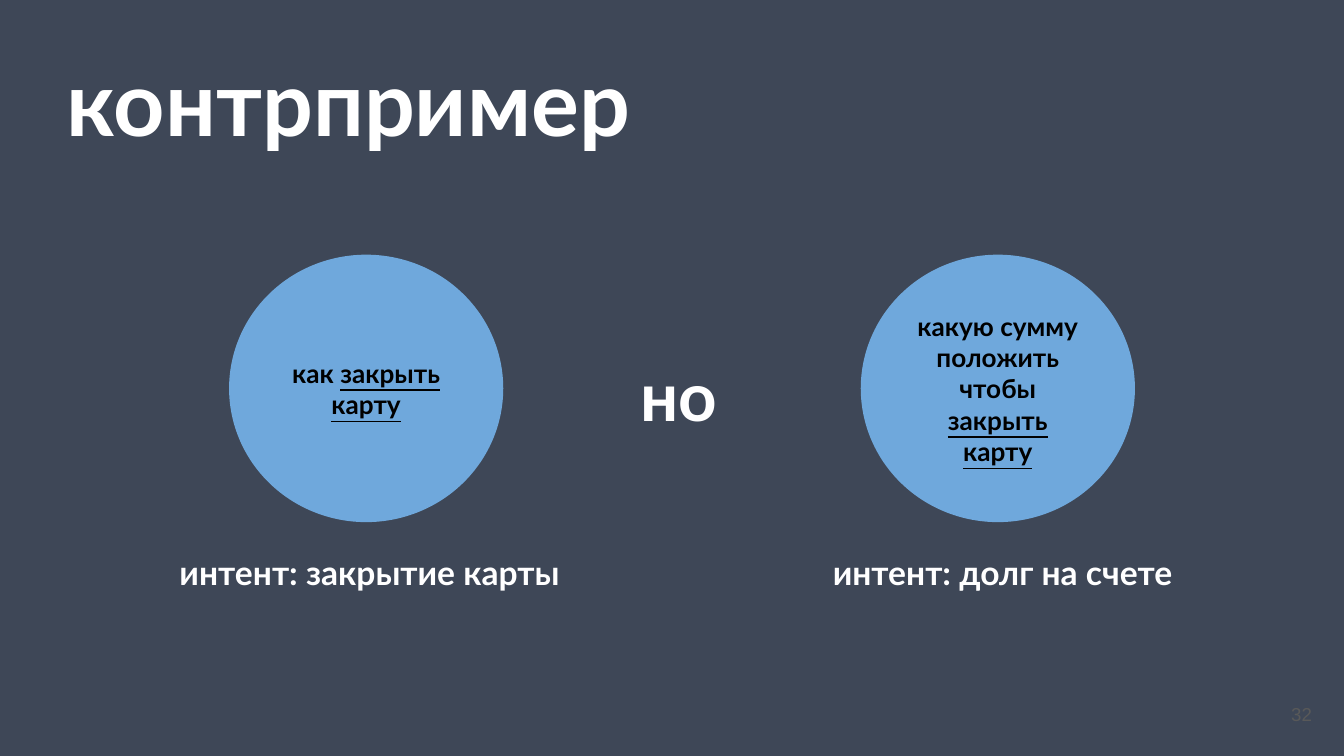
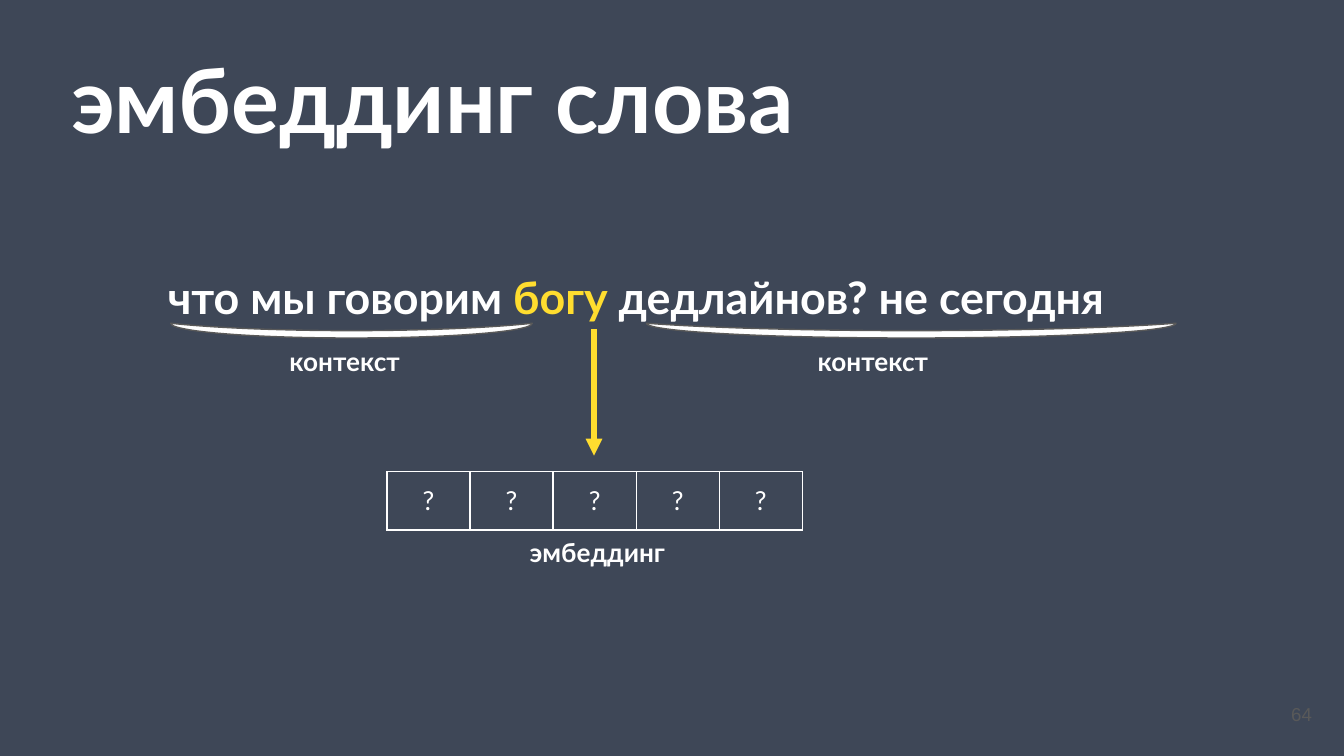
"""Builds two slides: intents that share words, and the embedding of a word."""
from dataclasses import dataclass

import lxml.etree
import pptx
import pptx.dml.color
import pptx.enum.shapes
import pptx.enum.text
import pptx.oxml.ns
import pptx.util

Inches = pptx.util.Inches
Pt = pptx.util.Pt
RGB = pptx.dml.color.RGBColor.from_string
qn = pptx.oxml.ns.qn
Shape = pptx.enum.shapes.MSO_SHAPE
Align = pptx.enum.text.PP_ALIGN
Anchor = pptx.enum.text.MSO_ANCHOR


@dataclass(frozen=True)
class Theme:
    background: str = "3E4757"
    light: str = "FFFFFF"
    dark: str = "000000"
    circle: str = "6FA8DC"
    accent: str = "FFDD2F"
    muted: str = "595959"
    font: str = "Lato"
    number_font: str = "Arial"
    title: int = 48
    conjunction: int = 36
    sentence: int = 24
    intent: int = 18
    body: int = 14
    number: int = 10
    hairline: float = 0.75
    arrow: float = 3


THEME = Theme()


def write(frame, runs, size, color=THEME.light, align=Align.CENTER, bold=True, font=THEME.font):
    paragraph = frame.paragraphs[0]
    paragraph.alignment = align
    paragraph.font.name = font
    paragraph.font.size = Pt(size)
    paragraph.font.bold = bold
    paragraph.font.color.rgb = RGB(color)
    for text, marks in runs:
        run = paragraph.add_run()
        run.text = text
        if "underline" in marks:
            run.font.underline = marks["underline"]
        if "color" in marks:
            run.font.color.rgb = RGB(marks["color"])


def set_margins(frame, vertical):
    frame.word_wrap = True
    frame.margin_left = frame.margin_right = Inches(0.1)
    frame.margin_top = frame.margin_bottom = Inches(vertical)


def add_text(slide, box, runs, size, margin=0.1, anchor=Anchor.TOP, **style):
    frame = slide.shapes.add_textbox(*map(Inches, box)).text_frame
    set_margins(frame, margin)
    frame.vertical_anchor = anchor
    write(frame, runs, size, **style)


def add_label(slide, left, top, width, text, size):
    add_text(slide, (left, top, width, 0.35), [(text, {})], size, margin=0.05)


def add_figure(slide, kind, box, fill, line):
    figure = slide.shapes.add_shape(kind, *map(Inches, box))
    figure.shadow.inherit = False
    figure.fill.solid()
    figure.fill.fore_color.rgb = RGB(fill)
    figure.line.color.rgb = RGB(line)
    figure.line.width = Pt(THEME.hairline)
    return figure


def add_phrase_circle(slide, left, opening, shared):
    circle = add_figure(slide, Shape.OVAL, (left, 1.9, 2.03, 1.98), THEME.circle, THEME.circle)
    set_margins(circle.text_frame, 0.1)
    circle.text_frame.vertical_anchor = Anchor.MIDDLE
    write(circle.text_frame, [(opening, {}), (shared, {"underline": True})],
          THEME.body, color=THEME.dark)


def add_context_arc(slide, left, width):
    thickness, middle = 0.11, 2.46
    box = (left + (width - thickness) / 2, middle - width / 2, thickness, width)
    arc = add_figure(slide, Shape.MOON, box, THEME.light, THEME.muted)
    arc.rotation = 270


def add_arrow(slide, x, top, bottom):
    arrow = slide.shapes.add_connector(
        pptx.enum.shapes.MSO_CONNECTOR.STRAIGHT,
        Inches(x), Inches(top), Inches(x), Inches(bottom))
    arrow.line.color.rgb = RGB(THEME.accent)
    arrow.line.width = Pt(THEME.arrow)
    lxml.etree.SubElement(arrow.line._get_or_add_ln(), qn("a:tailEnd"), type="triangle")
    lxml.etree.SubElement(arrow._element.spPr, qn("a:effectLst"))


def add_cell_borders(cell):
    properties = cell._tc.get_or_add_tcPr()
    for position, side in enumerate(("a:lnL", "a:lnR", "a:lnT", "a:lnB")):
        border = lxml.etree.Element(qn(side), w=str(Pt(THEME.hairline)))
        fill = lxml.etree.SubElement(border, qn("a:solidFill"))
        lxml.etree.SubElement(fill, qn("a:srgbClr"), val=THEME.light)
        properties.insert(position, border)


def add_vector(slide, box, values):
    table = slide.shapes.add_table(1, len(values), *map(Inches, box)).table
    table.first_row = table.horz_banding = False
    for cell, value in zip(table.iter_cells(), values):
        cell.fill.background()
        cell.margin_left = cell.margin_right = Inches(0.1)
        cell.margin_top = cell.margin_bottom = Inches(0.1)
        write(cell.text_frame, [(value, {})], THEME.body, bold=False)
        add_cell_borders(cell)


def add_slide(deck, title, title_box, number):
    slide = deck.slides.add_slide(deck.slide_layouts[6])
    slide.background.fill.solid()
    slide.background.fill.fore_color.rgb = RGB(THEME.background)
    add_text(slide, title_box, [(title, {})], THEME.title, align=Align.LEFT)
    add_text(slide, (9.26, 5.1, 0.6, 0.43), [(number, {})], THEME.number,
             anchor=Anchor.MIDDLE, color=THEME.muted, align=Align.RIGHT,
             bold=False, font=THEME.number_font)
    return slide


def build_counterexample(deck):
    slide = add_slide(deck, "контрпример", (0.4, 0.25, 10.11, 1.05), "32")
    shared = "закрыть карту"
    add_phrase_circle(slide, 6.41, "какую сумму положить чтобы ", shared)
    add_phrase_circle(slide, 1.71, "как ", shared)
    add_label(slide, 1.05, 4.06, 3.4, "интент: закрытие карты", THEME.intent)
    add_label(slide, 5.76, 4.06, 3.4, "интент: долг на счете", THEME.intent)
    add_text(slide, (3.38, 2.54, 3.34, 1.67), [("но", {})], THEME.conjunction)


def build_embedding(deck):
    slide = add_slide(deck, "эмбеддинг слова", (0.43, 0.23, 8.22, 0.88), "64")
    sentence = [("что мы говорим ", {}), ("богу", {"color": THEME.accent}),
                (" дедлайнов? не сегодня", {})]
    add_vector(slide, (2.88, 3.51, 3.09, 0.43), ["?"] * 5)
    add_arrow(slide, 4.42, 2.45, 3.39)
    add_label(slide, 3.39, 3.94, 2.11, "эмбеддинг", THEME.body)
    for arc_left, arc_width, label_left in ((1.27, 2.69, 1.51), (4.81, 3.94, 5.44)):
        add_context_arc(slide, arc_left, arc_width)
        add_label(slide, label_left, 2.52, 2.11, "контекст", THEME.body)
    add_text(slide, (1.15, 1.91, 7.71, 0.5), sentence, THEME.sentence, align=Align.LEFT)


def main():
    deck = pptx.Presentation()
    deck.slide_width = Inches(10)
    deck.slide_height = deck.slide_width * 9 // 16
    build_counterexample(deck)
    build_embedding(deck)
    deck.save("out.pptx")


if __name__ == "__main__":
    main()
